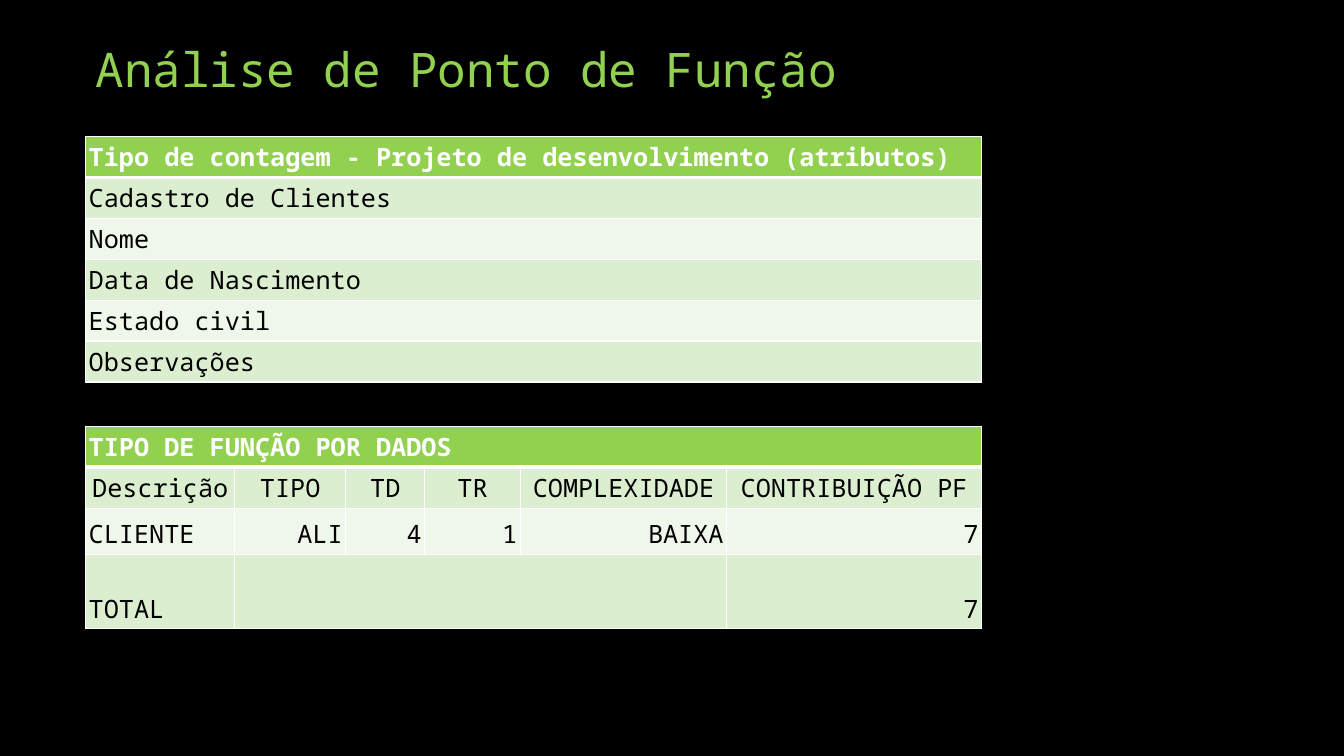
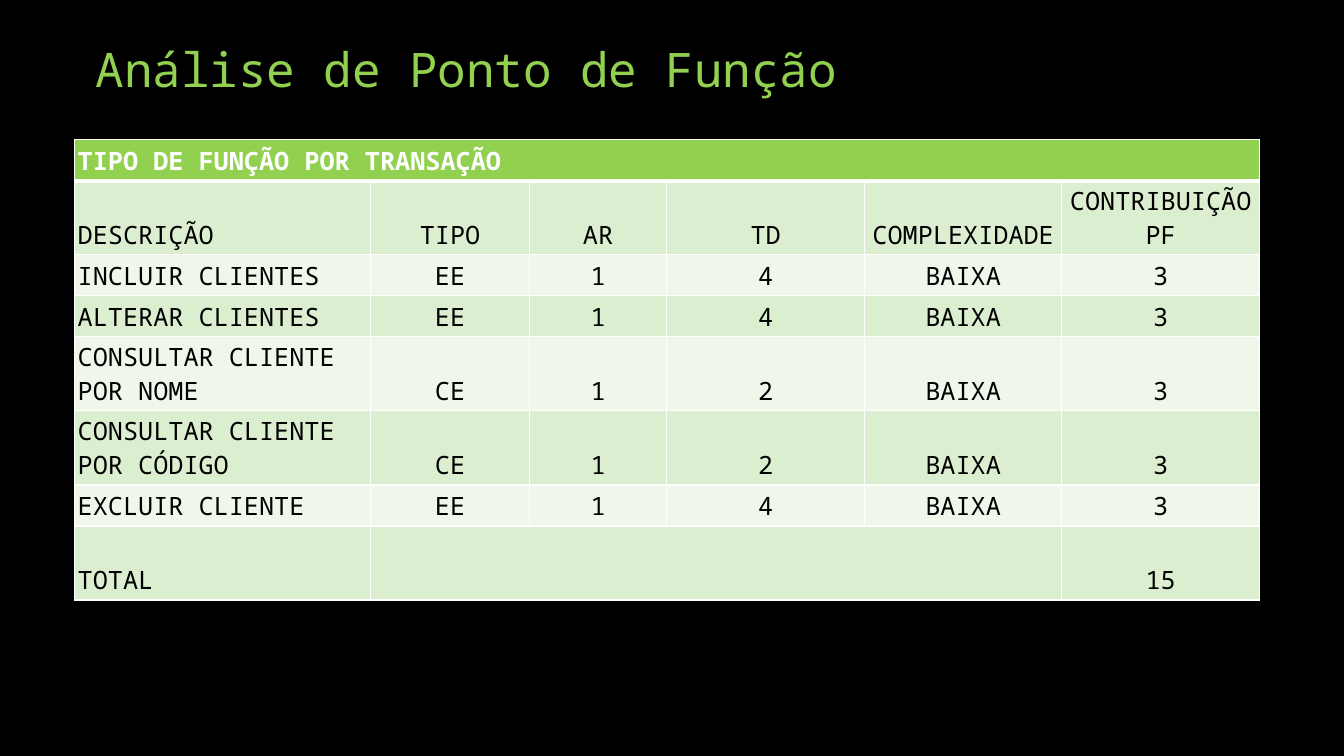
from dataclasses import dataclass

from lxml.etree import SubElement
from pptx import Presentation
from pptx.dml.color import RGBColor as RGB
from pptx.enum.text import MSO_ANCHOR as ANCHOR, PP_ALIGN as ALIGN
from pptx.oxml.ns import qn
from pptx.util import Pt


@dataclass(frozen=True)
class Theme:
    font: str = "Noto Sans Mono"
    background: RGB = RGB(0x00, 0x00, 0x00)
    accent: RGB = RGB(0x92, 0xD0, 0x50)
    bands: tuple = (RGB(0xEE, 0xF7, 0xE9), RGB(0xDC, 0xEE, 0xD0))
    heading_text: RGB = RGB(0xFF, 0xFF, 0xFF)
    body_text: RGB = RGB(0x00, 0x00, 0x00)
    border: str = "FFFFFF"
    title_size: Pt = Pt(34)
    cell_size: Pt = Pt(18)
    cell_inset: Pt = Pt(2.2)
    thin: Pt = Pt(1)
    thick: Pt = Pt(3)


theme = Theme()
LEFT, CENTER, RIGHT = ALIGN.LEFT, ALIGN.CENTER, ALIGN.RIGHT
ONE_LINE, CLIENT_LINE, TWO_LINES = 29.25, 33, 53

prs = Presentation()
prs.slide_width, prs.slide_height = Pt(960), Pt(540)


def add_titled_slide(title):
    slide = prs.slides.add_slide(prs.slide_layouts[6])
    slide.background.fill.solid()
    slide.background.fill.fore_color.rgb = theme.background
    frame = slide.shapes.add_textbox(Pt(61.2), Pt(9.4), Pt(720), Pt(64)).text_frame
    frame.word_wrap = True
    frame.vertical_anchor = ANCHOR.BOTTOM
    heading = frame.paragraphs[0]
    heading.text = title
    heading.line_spacing = 0.9
    heading.font.name, heading.font.size = theme.font, theme.title_size
    heading.font.color.rgb = theme.accent
    return slide


def add_banded_table(slide, left, top, widths, rows):
    """Rows are (height, first column alignment, other alignment, texts); None joins the cell to its left."""
    heights = [row[0] for row in rows]
    table = slide.shapes.add_table(len(rows), len(widths), Pt(left), Pt(top),
                                   Pt(sum(widths)), Pt(sum(heights))).table
    table.first_row = table.horz_banding = False
    for column, width in zip(table.columns, widths):
        column.width = Pt(width)

    for r, (height, first_align, other_align, texts) in enumerate(rows):
        table.rows[r].height = Pt(height)
        is_heading = r == 0
        for c, text in enumerate(texts):
            cell = table.cell(r, c)
            cell.vertical_anchor = ANCHOR.BOTTOM
            cell.margin_left = cell.margin_right = theme.cell_inset
            cell.margin_top = cell.margin_bottom = theme.cell_inset

            # Borders, thick between heading and body
            edges = {"L": theme.thin, "R": theme.thin,
                     "T": theme.thick if r == 1 else theme.thin,
                     "B": theme.thick if is_heading else theme.thin}
            properties = cell._tc.get_or_add_tcPr()
            for side, line_width in edges.items():
                line = SubElement(properties, qn(f"a:ln{side}"), w=str(int(line_width)))
                SubElement(SubElement(line, qn("a:solidFill")), qn("a:srgbClr"), val=theme.border)

            cell.fill.solid()
            cell.fill.fore_color.rgb = theme.accent if is_heading else theme.bands[r % 2]

            # Text
            cell.text = text or ""
            paragraph = cell.text_frame.paragraphs[0]
            paragraph.alignment = other_align if c else first_align
            font = paragraph.font
            font.name, font.size, font.bold = theme.font, theme.cell_size, is_heading
            font.color.rgb = theme.heading_text if is_heading else theme.body_text

        # Joined cells
        for start, text in enumerate(texts):
            end = start
            while end + 1 < len(texts) and texts[end + 1] is None:
                end += 1
            if text is not None and end > start:
                table.cell(r, start).merge(table.cell(r, end))


TITLE = "Análise de Ponto de Função"

# Slide 1: attributes and data functions
data_slide = add_titled_slide(TITLE)
attributes = ["Tipo de contagem - Projeto de desenvolvimento (atributos)", "Cadastro de Clientes",
              "Nome", "Data de Nascimento", "Estado civil", "Observações"]
add_banded_table(data_slide, 61.2, 97.5, [640],
                 [(ONE_LINE, LEFT, LEFT, [attribute]) for attribute in attributes])
add_banded_table(data_slide, 61.2, 304.5, [106.5, 79.2, 56.6, 68.2, 147.4, 182.1], [
    (ONE_LINE, LEFT, LEFT, ["TIPO DE FUNÇÃO POR DADOS"] + [None] * 5),
    (ONE_LINE, CENTER, CENTER, ["Descrição", "TIPO", "TD", "TR", "COMPLEXIDADE", "CONTRIBUIÇÃO PF"]),
    (CLIENT_LINE, LEFT, RIGHT, ["CLIENTE", "ALI", "4", "1", "BAIXA", "7"]),
    (TWO_LINES, LEFT, RIGHT, ["TOTAL", "", None, None, None, "7"]),
])

# Slide 2: transaction functions
transaction_slide = add_titled_slide(TITLE)
transactions = [
    (ONE_LINE, "INCLUIR CLIENTES", "EE", "4"),
    (ONE_LINE, "ALTERAR CLIENTES", "EE", "4"),
    (TWO_LINES, "CONSULTAR CLIENTE POR NOME", "CE", "2"),
    (TWO_LINES, "CONSULTAR CLIENTE POR CÓDIGO", "CE", "2"),
    (ONE_LINE, "EXCLUIR CLIENTE", "EE", "4"),
]
add_banded_table(transaction_slide, 53.3, 99.8, [211.6, 113.2, 98.3, 141.1, 141.1, 141.1], [
    (ONE_LINE, LEFT, LEFT, ["TIPO DE FUNÇÃO POR TRANSAÇÃO"] + [None] * 5),
    (TWO_LINES, LEFT, CENTER, ["DESCRIÇÃO", "TIPO", "AR", "TD", "COMPLEXIDADE", "CONTRIBUIÇÃO PF"]),
    *[(height, LEFT, CENTER, [name, kind, "1", td, "BAIXA", "3"])
      for height, name, kind, td in transactions],
    (TWO_LINES, LEFT, CENTER, ["TOTAL", "", None, None, None, "15"]),
])

prs.save("out.pptx")
